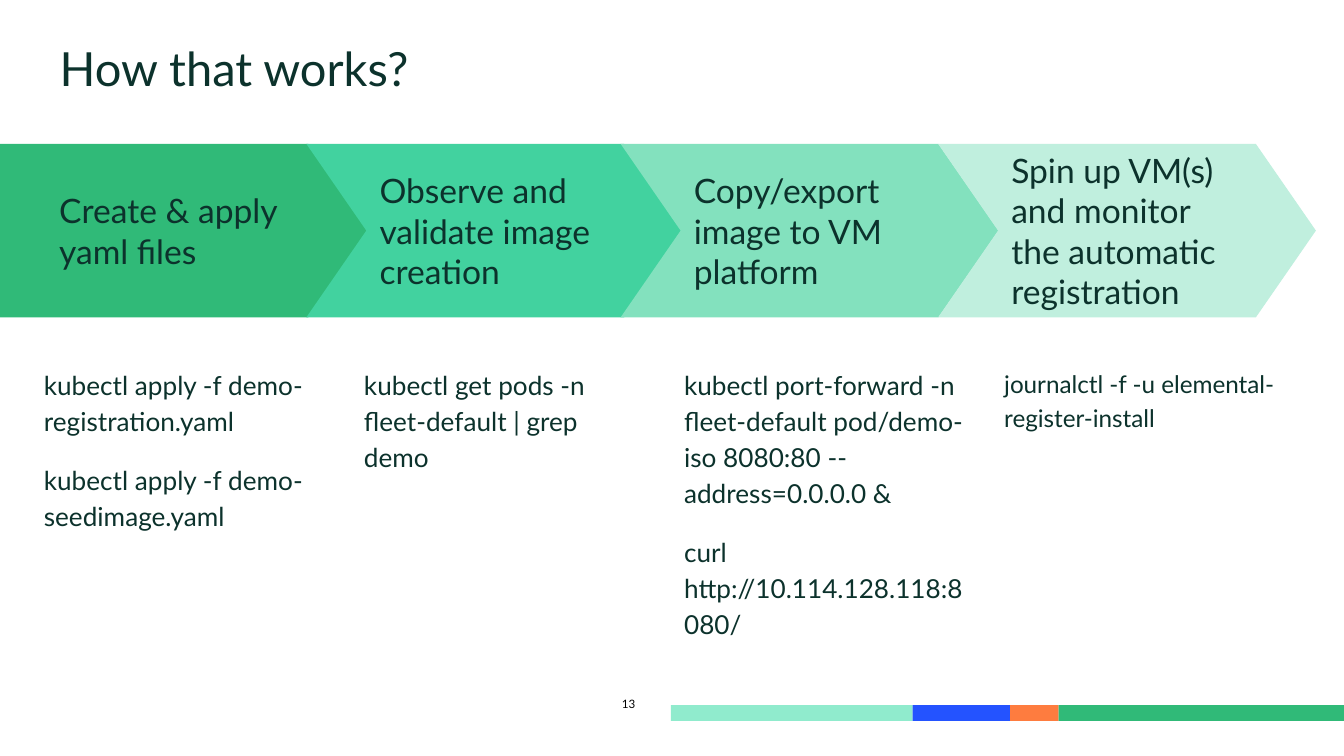
from pptx import Presentation
from pptx.dml.color import RGBColor
from pptx.enum.shapes import MSO_SHAPE
from pptx.enum.text import MSO_ANCHOR, PP_ALIGN
from pptx.util import Cm, Pt

RECTANGLE = MSO_SHAPE.RECTANGLE
PENTAGON = MSO_SHAPE.PENTAGON
CHEVRON = MSO_SHAPE.CHEVRON
LEFT, RIGHT = PP_ALIGN.LEFT, PP_ALIGN.RIGHT
TOP, MIDDLE = MSO_ANCHOR.TOP, MSO_ANCHOR.MIDDLE

FONT = "Lato"
INSET = 0.25
COLORS = {
    "text": "0C322C",
    "black": "000000",
    "green": "30BA78",
    "jade": "42D29F",
    "mint": "83E1BE",
    "pale": "C0EFDE",
    "aqua": "90EBCD",
    "blue": "2453FF",
    "orange": "FE7C3F",
}

# Shape, left, width, colour, left inset, text
STEPS = [
    (PENTAGON, 0, 6.96, "green", 1.12, "Create & apply yaml files"),
    (CHEVRON, 5.79, 7.14, "jade", INSET, "Observe and validate image creation"),
    (CHEVRON, 11.73, 7.14, "mint", INSET, "Copy/export image to VM platform"),
    (CHEVRON, 17.73, 7.14, "pale", INSET,
     "Spin up VM(s) and monitor the automatic registration"),
]

# Font size, commands
COMMANDS = [
    (14, ["kubectl apply -f demo-registration.yaml",
          "kubectl apply -f demo-seedimage.yaml"]),
    (14, ["kubectl get pods -n fleet-default | grep demo"]),
    (14, ["kubectl port-forward -n fleet-default pod/demo-iso 8080:80 "
          "--address=0.0.0.0 &",
          "curl http://10.114.128.118:8080/"]),
    (13, ["journalctl -f -u elemental-register-install"]),
]

# Colour, left edge; each segment ends where the next one starts
FOOTER_SEGMENTS = [("aqua", 12.68), ("blue", 17.25), ("orange", 19.09), ("green", 20.01)]
SLIDE_WIDTH, SLIDE_HEIGHT = 25.4, 14.29


def rgb(name):
    return RGBColor.from_string(COLORS[name])


def write_text(shape, *lines, size, color="text", align=LEFT, anchor=TOP,
               left_inset=INSET, line_spacing=1.0, gap=0):
    """Fill a shape with one paragraph per line, gap points apart."""
    frame = shape.text_frame
    frame.word_wrap = True
    frame.vertical_anchor = anchor
    frame.margin_left = Cm(left_inset)
    frame.margin_top = frame.margin_right = frame.margin_bottom = Cm(INSET)
    for index, line in enumerate(lines):
        paragraph = frame.add_paragraph() if index else frame.paragraphs[0]
        paragraph.text = line
        paragraph.alignment = align
        paragraph.line_spacing = line_spacing
        paragraph.space_before = Pt(gap if index else 0)
        paragraph.font.name = FONT
        paragraph.font.size = Pt(size)
        paragraph.font.color.rgb = rgb(color)


def add_text_box(slide, left, top, width, height, *lines, **text_format):
    box = slide.shapes.add_textbox(Cm(left), Cm(top), Cm(width), Cm(height))
    write_text(box, *lines, **text_format)


def add_filled_shape(slide, kind, left, top, width, height, color):
    shape = slide.shapes.add_shape(kind, Cm(left), Cm(top), Cm(width), Cm(height))
    shape.shadow.inherit = False
    shape.fill.solid()
    shape.fill.fore_color.rgb = rgb(color)
    shape.line.fill.background()
    return shape


def add_footer(slide):
    ends = [left for _, left in FOOTER_SEGMENTS[1:]] + [SLIDE_WIDTH]
    for (color, left), end in zip(FOOTER_SEGMENTS, ends):
        add_filled_shape(slide, RECTANGLE, left, 13.33, end - left, 0.3, color)
    add_text_box(slide, 10.74, 13.11, 1.52, 0.74, "13", size=6.2,
                 color="black", align=RIGHT, line_spacing=0.8)


def add_steps(slide):
    for kind, left, width, color, left_inset, label in STEPS:
        step = add_filled_shape(slide, kind, left, 2.72, width, 3.28, color)
        step.adjustments[0] = 0.346
        write_text(step, label, size=18, anchor=MIDDLE, left_inset=left_inset)


def add_commands(slide):
    for column, (size, commands) in enumerate(COMMANDS):
        add_text_box(slide, 0.58 + 6.05 * column, 6.65, 5.79, 6.05, *commands,
                     size=size, line_spacing=1.15, gap=12)


def main():
    presentation = Presentation()
    presentation.slide_width = Cm(SLIDE_WIDTH)
    presentation.slide_height = Cm(SLIDE_HEIGHT)
    slide = presentation.slides.add_slide(presentation.slide_layouts[6])
    add_footer(slide)
    add_text_box(slide, 0.88, 0.49, 23.67, 1.59, "How that works?", size=25.2)
    add_steps(slide)
    add_commands(slide)
    presentation.save("out.pptx")


if __name__ == "__main__":
    main()
